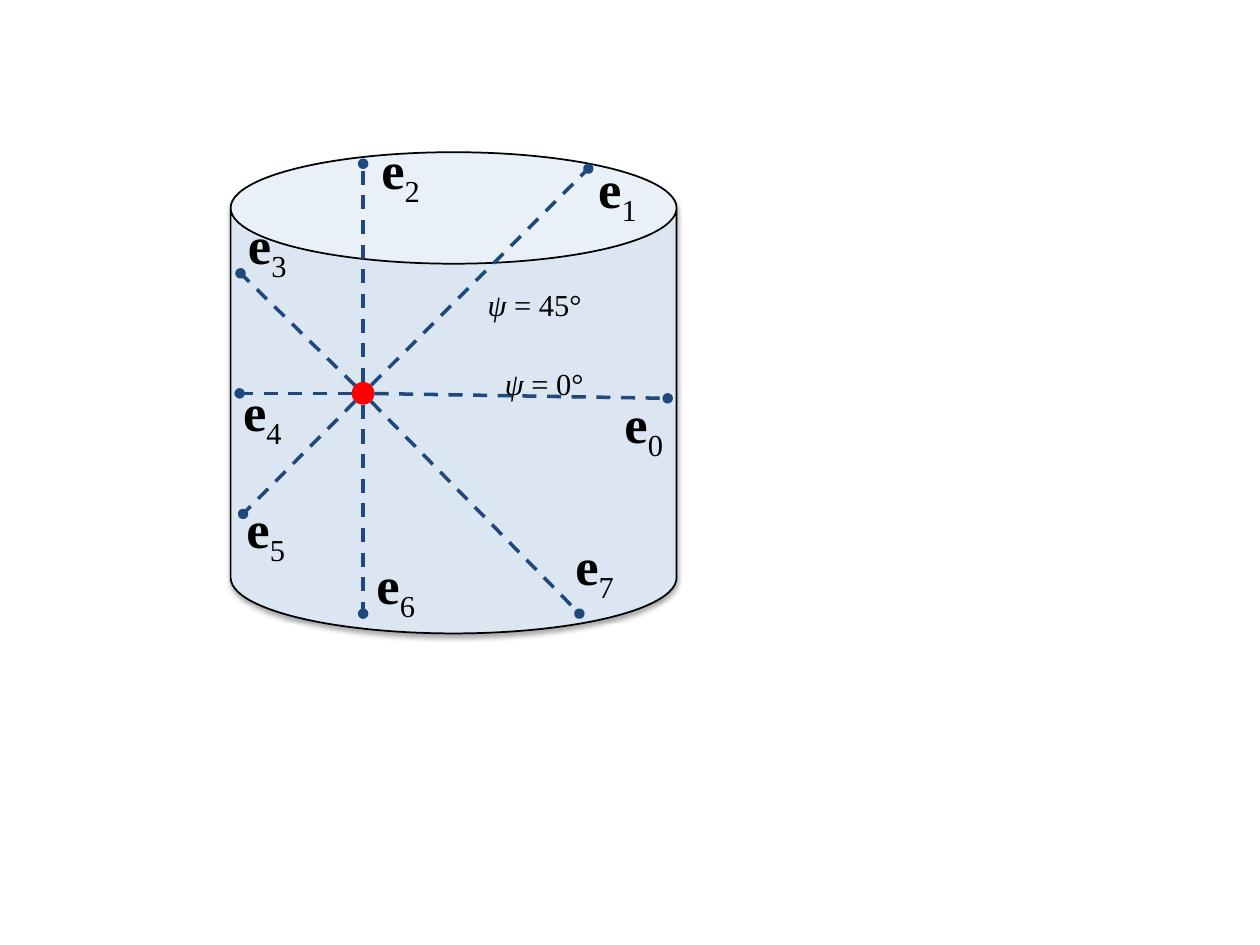
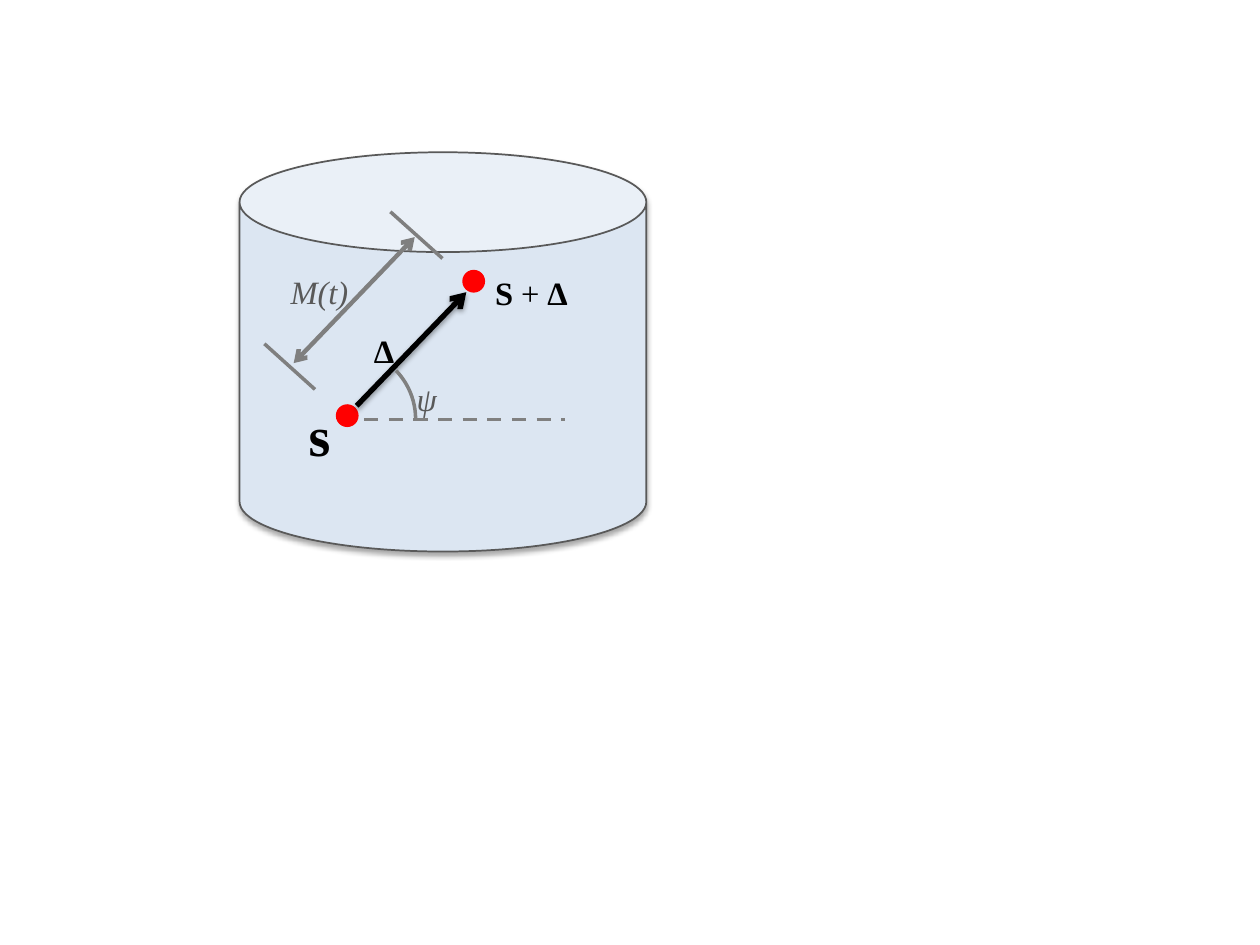
import math
from dataclasses import dataclass

from lxml import etree
from pptx import Presentation
from pptx.dml.color import RGBColor
from pptx.enum.dml import MSO_LINE
from pptx.enum.shapes import MSO_CONNECTOR, MSO_SHAPE
from pptx.enum.text import MSO_AUTO_SIZE
from pptx.oxml.ns import qn
from pptx.util import Cm, Pt

CAN, OVAL, ARC = MSO_SHAPE.CAN, MSO_SHAPE.OVAL, MSO_SHAPE.ARC
STRAIGHT = MSO_CONNECTOR.STRAIGHT
DASH = MSO_LINE.DASH
GROW = MSO_AUTO_SIZE.SHAPE_TO_FIT_TEXT

FONT = "Times New Roman"
BLACK, RED, NAVY = "000000", "FF0000", "1F497D"
PALE, DARK, GREY, MID = "DCE6F2", "595959", "808080", "7F7F7F"
DOT_RADIUS = 0.23
SUBSCRIPT = "-25000"

Point = tuple[float, float]


@dataclass
class Run:
    text: str
    bold: bool = False
    italic: bool = False
    sub: bool = True


@dataclass
class Electrode:
    index: int
    tip: Point
    label: Point
    width: float


@dataclass
class Note:
    runs: list[Run]
    at: Point
    width: float
    height: float = 1.17
    color: str = BLACK


def rgb(value: str) -> RGBColor:
    return RGBColor.from_string(value)


def add_shadow(effects, alpha: int, distance: float) -> None:
    shadow = etree.SubElement(effects, qn("a:outerShdw"), blurRad=str(Pt(3.1)),
                              dist=str(Pt(distance)), dir="5400000", rotWithShape="0")
    color = etree.SubElement(shadow, qn("a:srgbClr"), val=BLACK)
    etree.SubElement(color, qn("a:alpha"), val=str(alpha * 1000))


def add_shape(s, kind, at: Point, size: Point, fill: str = "", line: str = "", weight: float = 1):
    sp = s.shapes.add_shape(kind, *map(Cm, at), *map(Cm, size))
    sp.shadow.inherit = False
    if fill:
        sp.fill.solid()
        sp.fill.fore_color.rgb = rgb(fill)
    else:
        sp.fill.background()
    if line:
        sp.line.color.rgb = rgb(line)
        sp.line.width = Pt(weight)
    else:
        sp.line.fill.background()
    return sp


def add_can(s, at: Point, size: Point, line: str) -> None:
    sp = add_shape(s, CAN, at, size, PALE, line)
    add_shadow(sp.element.spPr.find(qn("a:effectLst")), 35, 1.8)


def add_dot(s, center: Point) -> None:
    x, y = center
    add_shape(s, OVAL, (x - DOT_RADIUS, y - DOT_RADIUS), (2 * DOT_RADIUS, 2 * DOT_RADIUS), RED)


def add_line(s, start: Point, end: Point, color: str, weight: float = 2, dashed: bool = False,
             head: str = "", tail: str = "", shadow: bool = False) -> None:
    line = s.shapes.add_connector(STRAIGHT, *map(Cm, start + end))
    line.line.color.rgb = rgb(color)
    line.line.width = Pt(weight)
    if dashed:
        line.line.dash_style = DASH
    spPr = line.element.spPr
    for tag, kind in (("a:headEnd", head), ("a:tailEnd", tail)):
        if kind:
            etree.SubElement(spPr.find(qn("a:ln")), qn(tag), type=kind)
    effects = etree.SubElement(spPr, qn("a:effectLst"))
    if shadow:
        add_shadow(effects, 38, 1.6)


def add_text(s, note: Note, size: int) -> None:
    sp = s.shapes.add_textbox(*map(Cm, (*note.at, note.width, note.height)))
    tf = sp.text_frame
    tf.word_wrap = True
    tf.auto_size = GROW
    p = tf.paragraphs[0]
    for run in note.runs:
        r = p.add_run()
        r.text = run.text
        r.font.name = FONT
        r.font.size = Pt(size)
        r.font.bold = run.bold
        r.font.italic = run.italic
        r.font.color.rgb = rgb(note.color)
        if run.sub:
            r.font.element.set("baseline", SUBSCRIPT) if hasattr(r.font, "element") else \
                p.runs[-1].font._element.set("baseline", SUBSCRIPT)


def rim_point(center: Point, toward: Point) -> Point:
    angle = math.atan2(toward[1] - center[1], toward[0] - center[0])
    return center[0] + DOT_RADIUS * math.cos(angle), center[1] + DOT_RADIUS * math.sin(angle)


def build_electrodes(s) -> None:
    hub = (7.32, 7.93)
    electrodes = [
        Electrode(0, (13.46, 8.03), (12.34, 7.75), 2.11),
        Electrode(1, (11.86, 3.4), (11.81, 3.02), 2.41),
        Electrode(2, (7.32, 3.3), (7.44, 2.64), 2.16),
        Electrode(3, (4.85, 5.51), (4.75, 4.14), 1.6),
        Electrode(4, (4.83, 7.93), (4.65, 7.52), 1.85),
        Electrode(5, (4.9, 10.36), (4.72, 9.88), 1.93),
        Electrode(6, (7.32, 12.37), (7.34, 11), 2.01),
        Electrode(7, (11.68, 12.37), (11.35, 10.62), 2.11),
    ]
    add_can(s, (4.65, 3.07), (8.99, 9.7), BLACK)
    add_dot(s, hub)
    for e in electrodes:
        runs = [Run("e", bold=True, sub=False), Run(str(e.index))]
        add_text(s, Note(runs, e.label, e.width, 1.55), 30)
    for e in electrodes:
        add_line(s, rim_point(hub, e.tip), e.tip, NAVY, dashed=True, tail="oval")
    for degrees, at, width in ((0, (9.93, 6.53), 3.71), (45, (9.58, 4.93), 3.2)):
        runs = [Run("ψ ", italic=True), Run(f"= {degrees}°")]
        add_text(s, Note(runs, at, width, 1.12), 30)


def build_displacement(s) -> None:
    add_can(s, (4.83, 3.07), (8.2, 8.05), DARK)
    for center in ((7, 8.38), (9.55, 5.67)):
        add_dot(s, center)
    add_line(s, (7.19, 8.18), (9.4, 5.89), BLACK, 3, tail="arrow", shadow=True)
    add_line(s, (7.34, 8.46), (11.38, 8.46), GREY, dashed=True)
    arc = add_shape(s, ARC, (5.56, 7.04), (2.82, 2.82), line=GREY, weight=2)
    arc.adjustments[0] = 189.65
    arc.adjustments[1] = 0
    for start, end in (((8.92, 5.21), (7.87, 4.27)), ((6.35, 7.85), (5.33, 6.93))):
        add_line(s, start, end, MID)
    add_line(s, (8.36, 4.78), (5.92, 7.32), MID, 2.5, head="arrow", tail="arrow")
    notes = [
        Note([Run("s", bold=True, sub=False)], (5.97, 7.95), 1.19, 1.63),
        Note([Run("Δ", bold=True)], (7.29, 5.79), 1.19),
        Note([Run("S ", bold=True), Run("+ "), Run("Δ", bold=True)], (9.73, 4.62), 2.54),
        Note([Run("ψ", italic=True)], (8.15, 6.76), 3.2, color=DARK),
        Note([Run("M(t)", italic=True)], (5.61, 4.6), 3.2, color=DARK),
    ]
    for note in notes:
        add_text(s, note, 32)


prs = Presentation()
prs.slide_width, prs.slide_height = Cm(25.4), Cm(19.05)
for build in (build_electrodes, build_displacement):
    build(prs.slides.add_slide(prs.slide_layouts[6]))
prs.save("out.pptx")
